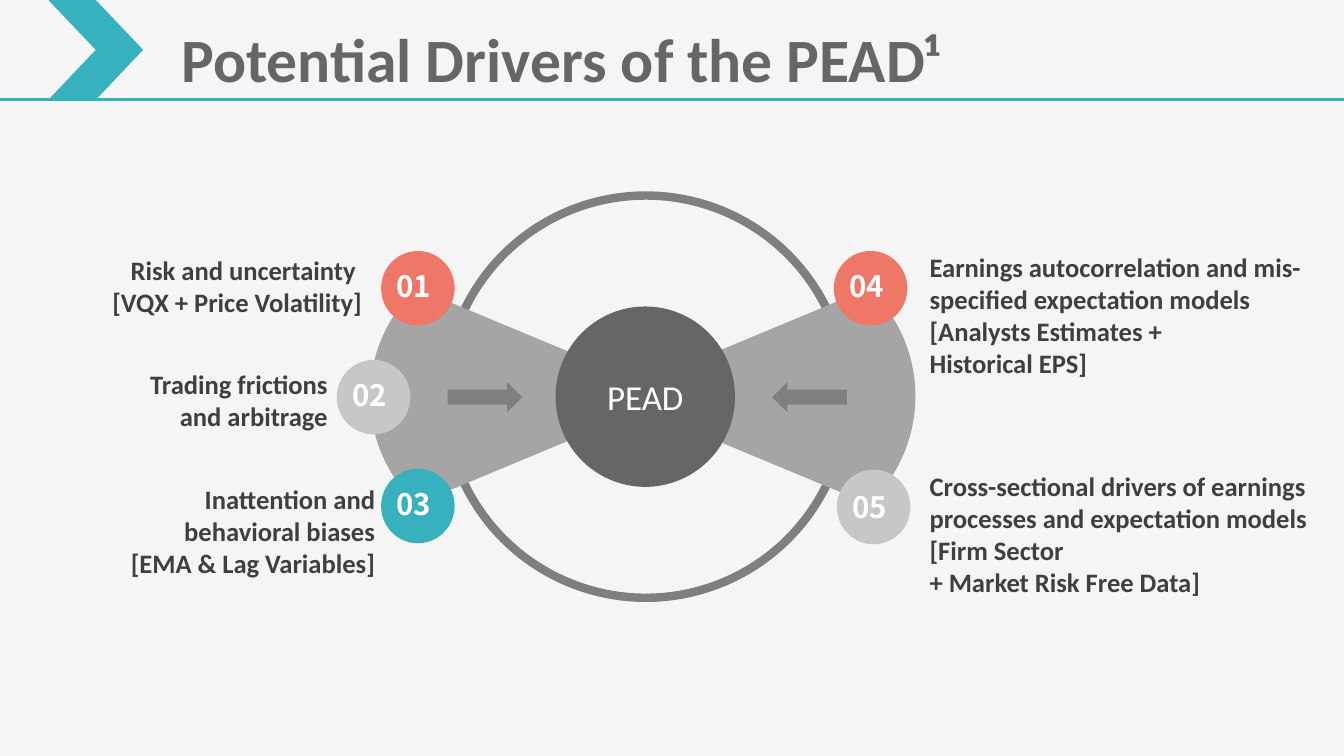
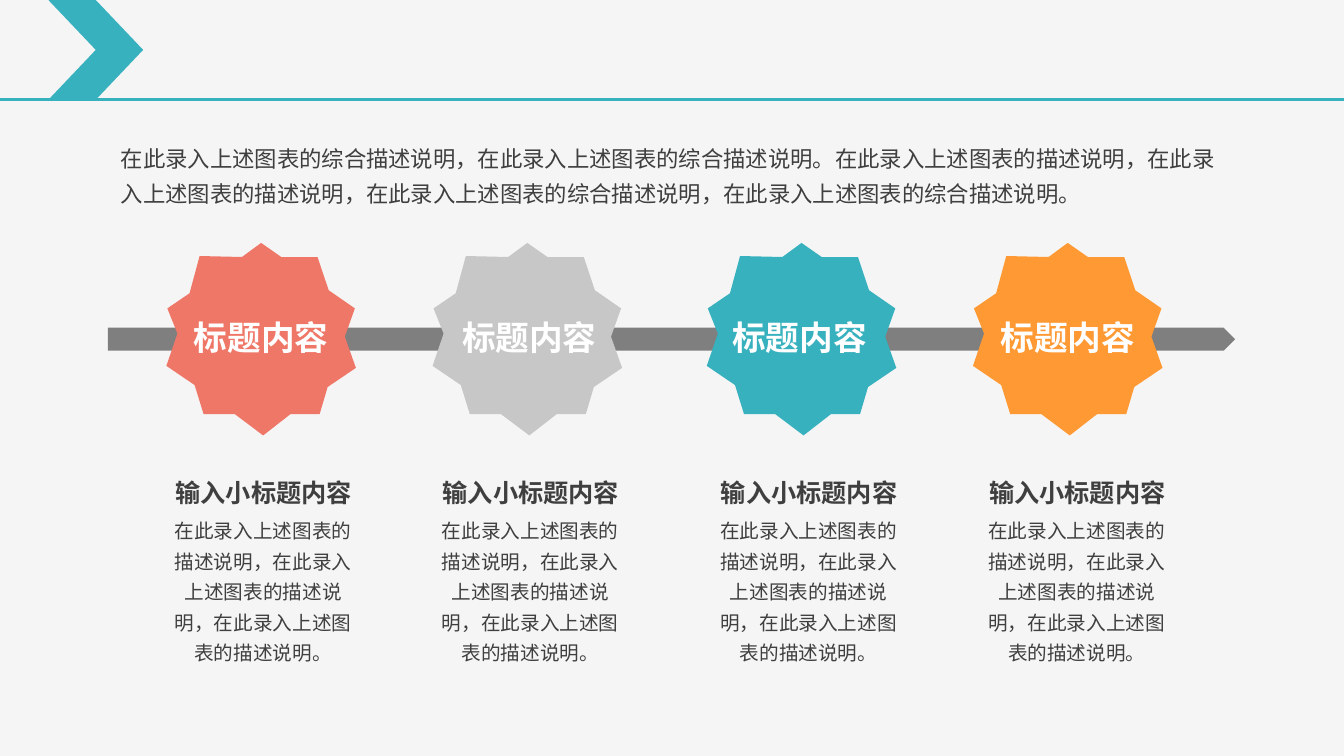
import math

from lxml import etree
from pptx import Presentation
from pptx.dml.color import RGBColor
from pptx.enum import shapes, text
from pptx.oxml import ns
from pptx.util import Inches, Pt

# Shared style
BACKGROUND = RGBColor(0xF5, 0xF5, 0xF5)
TEAL = RGBColor(0x38, 0xB1, 0xBF)
CORAL = RGBColor(0xEF, 0x77, 0x68)
ORANGE = RGBColor(0xFF, 0x99, 0x33)
SILVER = RGBColor(0xC7, 0xC7, 0xC7)
LIGHT_GRAY = RGBColor(0xA5, 0xA5, 0xA5)
GRAY = RGBColor(0x7F, 0x7F, 0x7F)
DARK_GRAY = RGBColor(0x66, 0x66, 0x66)
INK = RGBColor(0x3F, 0x3F, 0x3F)
WHITE = RGBColor(0xFF, 0xFF, 0xFF)
LATIN = "Calibri"
CJK = "Noto Sans CJK SC"
SLIDE_W, SLIDE_H = 13.33, 7.5
HEADER_H = 0.99

MSO = shapes.MSO_SHAPE
ALIGN = text.PP_ALIGN
ANCHOR = text.MSO_ANCHOR

# Star outline, measured from its own top left corner
STAR = [(0.95, 0.04), (1.15, 0.18), (1.51, 0.18), (1.62, 0.51), (1.88, 0.69),
        (1.78, 0.97), (1.89, 1.28), (1.61, 1.47), (1.53, 1.74), (1.24, 1.74),
        (0.97, 1.95), (0.69, 1.74), (0.38, 1.74), (0.29, 1.45), (0.01, 1.26),
        (0.12, 0.94), (0.02, 0.69), (0.24, 0.54), (0.34, 0.17), (0.76, 0.18)]


def write(tf, lines, size, color, font=LATIN, bold=False, align=ALIGN.LEFT,
          spacing=None, insets=(0.1, 0.05, 0.1, 0.05), anchor=ANCHOR.TOP):
    """Fill a text frame, one paragraph a line; insets are left, top, right, bottom."""
    tf.auto_size = text.MSO_AUTO_SIZE.NONE
    tf.vertical_anchor = anchor
    tf.margin_left, tf.margin_top, tf.margin_right, tf.margin_bottom = map(Inches, insets)
    for i, line in enumerate(lines):
        p = tf.add_paragraph() if i else tf.paragraphs[0]
        p.text = line
        p.alignment = align
        if spacing:
            p.line_spacing = spacing
        p.font.size = Pt(size)
        p.font.bold = bold
        p.font.color.rgb = color
        p.font.name = font
        if font == CJK:
            # East Asian font, with punctuation kept inside the margins
            props = p._p.pPr
            props.set("hangingPunct", "0")
            run_props = props.find(ns.qn("a:defRPr"))
            etree.SubElement(run_props, ns.qn("a:ea")).set("typeface", font)


def add_text(s, x, y, w, h, lines, size, color, **style):
    box = s.shapes.add_textbox(Inches(x), Inches(y), Inches(w), Inches(h))
    box.text_frame.word_wrap = True
    write(box.text_frame, lines, size, color, **style)


def paint(sp, color):
    sp.shadow.inherit = False
    sp.fill.solid()
    sp.fill.fore_color.rgb = color
    sp.line.fill.background()
    return sp


def add_shape(s, kind, x, y, w, h, color):
    return paint(s.shapes.add_shape(kind, Inches(x), Inches(y), Inches(w), Inches(h)), color)


def add_outline(s, points, color):
    first, *rest = [(Inches(x), Inches(y)) for x, y in points]
    builder = s.shapes.build_freeform(*first)
    builder.add_line_segments(rest, close=True)
    return paint(builder.convert_to_shape(), color)


def add_sector(s, apex_x, apex_y, side, color):
    """Wedge with a bulging end; side is 1 to the right, -1 to the left."""
    radius, center, half_angle = 1.47, 1.56, 46.7
    points = [(apex_x, apex_y)]
    for step in range(-20, 21):
        angle = math.radians(half_angle * step / 20)
        points.append((apex_x + side * (center + radius * math.cos(angle)),
                       apex_y + radius * math.sin(angle)))
    add_outline(s, points, color)


def add_badge(s, x, y, number, color, bottom=0.05):
    sp = add_shape(s, MSO.OVAL, x, y, 0.73, 0.74, color)
    sp.text_frame.word_wrap = False
    write(sp.text_frame, [number], 21, WHITE, font=CJK, bold=True, align=ALIGN.CENTER,
          insets=(0, 0, 0.08, bottom), anchor=ANCHOR.MIDDLE)


def add_title(s, title):
    sp = s.shapes.title
    sp.left, sp.top, sp.width, sp.height = map(Inches, (1.7, 0.11, 8.27, 0.94))
    write(sp.text_frame, [title], 44, DARK_GRAY, bold=True, insets=(0.1,) * 4)


def style_master(prs, s):
    """Draw the header once and move it from slide s to the master."""
    master = prs.slide_master
    master.background.fill.solid()
    master.background.fill.fore_color.rgb = BACKGROUND
    rule = s.shapes.add_connector(shapes.MSO_CONNECTOR.STRAIGHT, 0, Inches(HEADER_H),
                                  Inches(SLIDE_W), Inches(HEADER_H))
    rule.line.color.rgb = TEAL
    rule.line.width = Pt(2.25)
    etree.SubElement(rule.element.spPr, ns.qn("a:effectLst"))
    chevron = add_shape(s, MSO.CHEVRON, 0.48, 0, 0.94, HEADER_H, TEAL)
    tree = master.shapes.element
    for i, sp in enumerate((rule, chevron)):
        sp.element.xpath("./*/p:cNvPr")[0].set("id", str(101 + i))
        tree.insert(2 + i, sp.element)


def build_drivers(s):
    add_title(s, "Potential Drivers of the PEAD¹")

    # Ring, wedges and hub
    ring = add_shape(s, MSO.OVAL, 4.41, 1.94, 3.99, 3.99, GRAY)
    ring.fill.background()
    ring.line.color.rgb = GRAY
    ring.line.width = Pt(6)
    add_sector(s, 6.05, 3.93, 1, LIGHT_GRAY)
    add_sector(s, 6.7, 3.93, -1, LIGHT_GRAY)
    hub = add_shape(s, MSO.OVAL, 5.51, 3.04, 1.78, 1.79, DARK_GRAY)
    write(hub.text_frame, ["PEAD"], 25, WHITE, align=ALIGN.CENTER, anchor=ANCHOR.MIDDLE)
    add_shape(s, MSO.RIGHT_ARROW, 4.44, 3.79, 0.74, 0.3, GRAY)
    add_shape(s, MSO.LEFT_ARROW, 7.66, 3.79, 0.74, 0.3, GRAY)

    # Numbered badges
    add_badge(s, 3.78, 2.49, "01", CORAL)
    add_badge(s, 3.34, 3.57, "02", SILVER)
    add_badge(s, 3.78, 4.65, "03", TEAL)
    add_badge(s, 8.27, 2.49, "04", CORAL)
    add_badge(s, 8.3, 4.66, "05", SILVER, bottom=0)

    # Driver descriptions
    drivers = [
        (0.66, 2.52, 2.93, 0.64, ALIGN.RIGHT,
         ["Risk and uncertainty ", "[VQX + Price Volatility]"]),
        (1.21, 3.65, 2.04, 0.64, ALIGN.RIGHT, ["Trading frictions and arbitrage"]),
        (1.15, 4.79, 2.57, 0.96, ALIGN.RIGHT,
         ["Inattention and behavioral biases", "[EMA & Lag Variables]"]),
        (9.22, 2.49, 3.99, 1.6, ALIGN.LEFT,
         ["Earnings autocorrelation and mis-specified expectation models",
          "[Analysts Estimates +", "Historical EPS]"]),
        (9.22, 4.66, 4.11, 1.28, ALIGN.LEFT,
         ["Cross-sectional drivers of earnings processes and expectation models",
          "[Firm Sector", "+ Market Risk Free Data]"]),
    ]
    for x, y, w, h, align, lines in drivers:
        add_text(s, x, y, w, h, lines, 19, INK, bold=True, align=align, insets=(0,) * 4)


def build_timeline(s):
    # Summary and arrow bar
    summary = ("在此录入上述图表的综合描述说明，在此录入上述图表的综合描述说明。"
               "在此录入上述图表的描述说明，在此录入上述图表的描述说明，"
               "在此录入上述图表的综合描述说明，在此录入上述图表的综合描述说明。")
    add_text(s, 1.1, 1.31, 11.08, 0.77, [summary], 16, INK, font=CJK, spacing=1.3)
    add_shape(s, MSO.PENTAGON, 1.07, 3.25, 11.18, 0.23, GRAY)

    # Stages: colour, then left edges of star, label and description
    detail = "在此录入上述图表的描述说明，在此录入上述图表的描述说明，在此录入上述图表的描述说明。"
    stages = [(CORAL, 1.64, 1.79, 1.55), (SILVER, 4.28, 4.45, 4.2),
              (TEAL, 7, 7.13, 6.96), (ORANGE, 9.64, 9.79, 9.62)]
    centered = dict(font=CJK, align=ALIGN.CENTER)
    for color, star_x, label_x, detail_x in stages:
        add_outline(s, [(star_x + x, 2.37 + y) for x, y in STAR], color)
        add_text(s, label_x, 3.07, 1.6, 0.54, ["标题内容"], 24, WHITE, bold=True,
                 insets=(0.1, 0.07, 0.1, 0.07), **centered)
        add_text(s, detail_x + 0.08, 4.69, 1.97, 0.4, ["输入小标题内容"], 18, INK,
                 bold=True, **centered)
        add_text(s, detail_x, 5.03, 2.12, 1.63, [detail], 14, INK, spacing=1.3, **centered)


def main():
    prs = Presentation()
    prs.slide_width, prs.slide_height = Inches(SLIDE_W), Inches(SLIDE_H)
    title_only, blank = prs.slide_layouts[5], prs.slide_layouts[6]
    s = prs.slides.add_slide(title_only)
    style_master(prs, s)
    build_drivers(s)
    build_timeline(prs.slides.add_slide(blank))
    prs.save("out.pptx")


if __name__ == "__main__":
    main()
